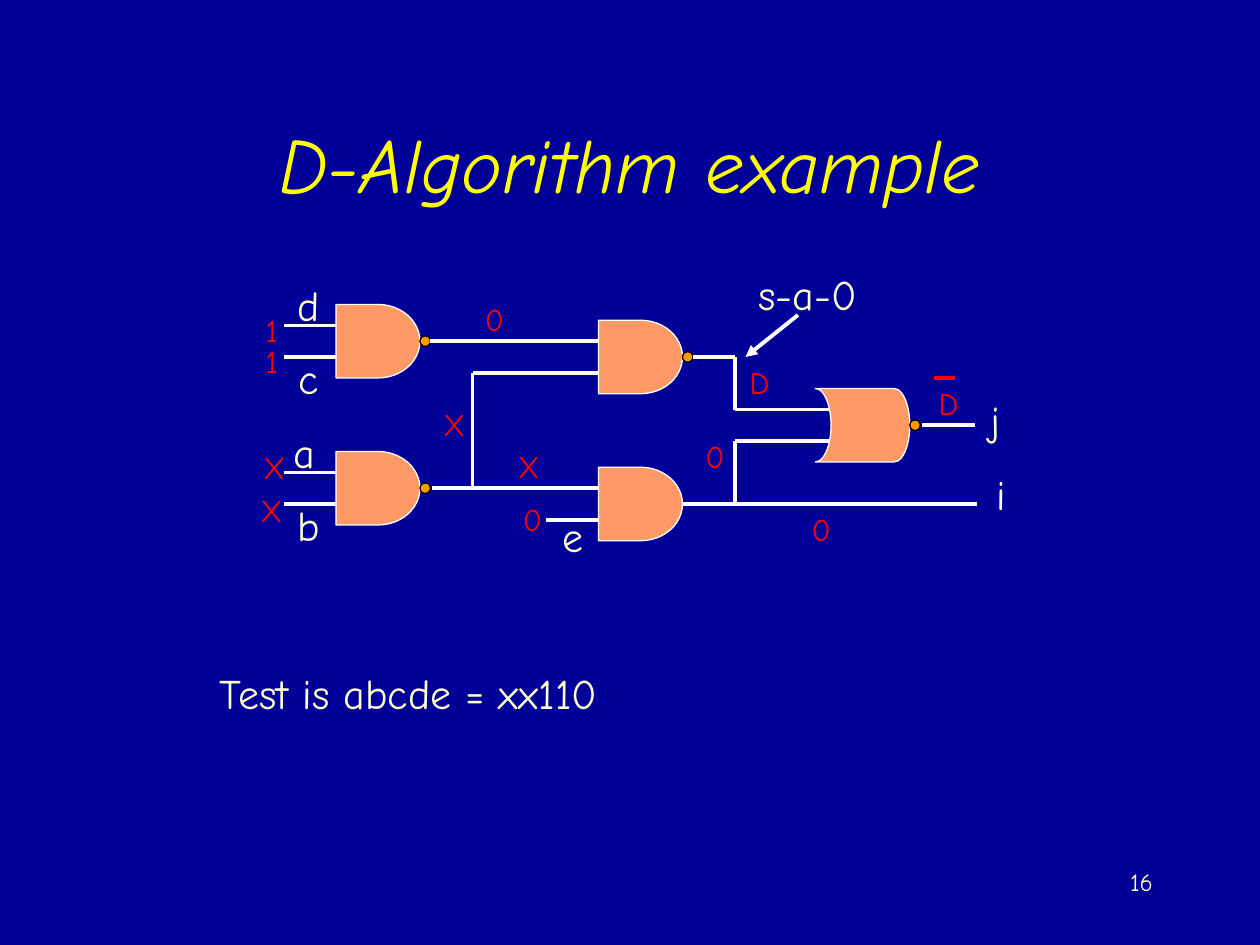
import pptx
import pptx.util
import pptx.dml.color
import pptx.enum.shapes
import pptx.enum.text
import pptx.oxml.ns
import lxml.etree

COLORS = {
    "background": "000099", "title": "FFFF00", "signal": "FFFFCC", "value": "FF0000",
    "gate": "FF9966", "bubble": "FF9900", "wire": "FFFFFF", "outline": "000000",
}
FONT = "Comic Neue"
COLUMNS, ROWS = 240, 180
CELL = pptx.util.Inches(10) / COLUMNS
GATE_HEIGHT, BUBBLE_SIZE, INPUT_LENGTH = 14, 2, 10
SHAPES = pptx.enum.shapes.MSO_SHAPE
ALIGN = pptx.enum.text.PP_ALIGN
ANCHOR = pptx.enum.text.MSO_ANCHOR

# left, top, inverted output
AND_GATES = [(64, 58, True), (64, 86, True), (114, 61, True), (114, 89, False)]
NOR_LEFT, NOR_TOP, NOR_WIDTH = 155.3, 74, 18

WIRES = [
    (82.3, 93, 104.4, 93), (82, 65, 104, 65), (90, 93, 90, 71), (90, 71, 104, 71),
    (132, 68, 140, 68), (130, 96, 186, 96), (140, 96, 140, 84), (140, 84, 150, 84),
    (140, 78, 150, 78), (140, 78, 140, 68), (175.7, 81, 185.7, 81),
]
# text, centre column, top row, width
SIGNALS = [
    ("a", 58, 80, 8.9), ("b", 58.8, 94, 9.1), ("c", 58.8, 66, 8.7), ("d", 58.7, 52, 8.9),
    ("e", 109.2, 96, 8.7), ("i", 190.7, 88, 6.5), ("j", 189.6, 74, 6.7),
    ("s-a-0", 153.8, 50, 23.5), ("Test is abcde = xx110", 77.8, 126, 77.3),
]
VALUES = [
    ("1", 51.8, 58, 7.2), ("1", 51.8, 64, 7.2), ("X", 52.2, 84.2, 8.9),
    ("X", 51.7, 92.4, 8.9), ("0", 101.4, 94, 8.4), ("X", 86.5, 76, 8.9),
    ("X", 100.7, 84, 8.9), ("0", 94.2, 56, 8.4), ("0", 136.2, 82, 8.4),
    ("0", 156.4, 96, 8.4), ("D", 144.6, 68, 8.4), ("D", 180.6, 72, 8.4),
]


def grid(*cells):
    return [round(cell * CELL) for cell in cells]


def rgb(name):
    return pptx.dml.color.RGBColor.from_string(COLORS[name])


def write(frame, text, size, color, align=ALIGN.CENTER, anchor=ANCHOR.MIDDLE, italic=False):
    frame.text = text
    frame.vertical_anchor = anchor
    paragraph = frame.paragraphs[0]
    paragraph.alignment = align
    font = paragraph.runs[0].font
    font.name, font.size, font.italic = FONT, pptx.util.Pt(size), italic
    font.color.rgb = rgb(color)


def add_title(slide, text):
    title = slide.shapes.title
    title.left, title.top, title.width, title.height = grid(18, 16, 204, 30)
    write(title.text_frame, text, 44, "title", italic=True)


def add_label(slide, text, center, top, width, height, size, color):
    label = slide.shapes.add_textbox(*grid(center - width / 2, top, width, height))
    label.text_frame.word_wrap = False
    write(label.text_frame, text, size, color)


def add_part(slide, preset, box, fill, line):
    part = slide.shapes.add_shape(preset, *grid(*box))
    part.shadow.inherit = False
    part.fill.solid()
    part.fill.fore_color.rgb = rgb(fill)
    part.line.color.rgb = rgb(line)
    part.line.width = pptx.util.Pt(0.75)
    return part


def add_wire(slide, ends, color="wire", arrow=False):
    wire = slide.shapes.add_connector(pptx.enum.shapes.MSO_CONNECTOR.STRAIGHT, *grid(*ends))
    wire.line.color.rgb = rgb(color)
    wire.line.width = pptx.util.Pt(2.25)
    qn = pptx.oxml.ns.qn
    if arrow:
        lxml.etree.SubElement(wire.line._get_or_add_ln(), qn("a:tailEnd"), type="triangle")
    lxml.etree.SubElement(wire._element.spPr, qn("a:effectLst"))


def add_gate(slide, preset, left, top, width, inverted, input_end):
    gate = add_part(slide, preset, (left, top, width, GATE_HEIGHT), "gate", "wire")
    if inverted:
        bubble = (left + width, top + 6, BUBBLE_SIZE, BUBBLE_SIZE)
        add_part(slide, SHAPES.OVAL, bubble, "bubble", "outline")
    for row in (top + 4, top + 10):
        add_wire(slide, (input_end - INPUT_LENGTH, row, input_end, row))
    return gate


def add_circuit(slide):
    for left, top, inverted in AND_GATES:
        add_gate(slide, SHAPES.FLOWCHART_DELAY, left, top, 16, inverted, left)
    nor_gate = add_gate(slide, SHAPES.FLOWCHART_STORED_DATA, NOR_LEFT, NOR_TOP, NOR_WIDTH, True, 158)
    nor_gate._element.spPr.xfrm.set("flipH", "1")
    for ends in WIRES:
        add_wire(slide, ends)


def add_page_number(slide, number):
    page = slide.shapes.add_textbox(*grid(172, 164, 50, 12))
    page.text_frame.word_wrap = True
    write(page.text_frame, number, 14, "signal", ALIGN.RIGHT, ANCHOR.TOP)


def main():
    deck = pptx.Presentation()
    deck.slide_width, deck.slide_height = grid(COLUMNS, ROWS)
    slide = deck.slides.add_slide(deck.slide_layouts[5])
    slide.background.fill.solid()
    slide.background.fill.fore_color.rgb = rgb("background")
    add_title(slide, "D-Algorithm example")
    add_circuit(slide)
    for signal in SIGNALS:
        add_label(slide, *signal, 12, 24, "signal")
    add_wire(slide, (152, 60, 142, 68), arrow=True)
    for value in VALUES:
        add_label(slide, *value, 9.6, 18, "value")
    add_wire(slide, (178, 72, 182, 72), "value")
    add_page_number(slide, "16")
    deck.save("out.pptx")


if __name__ == "__main__":
    main()
